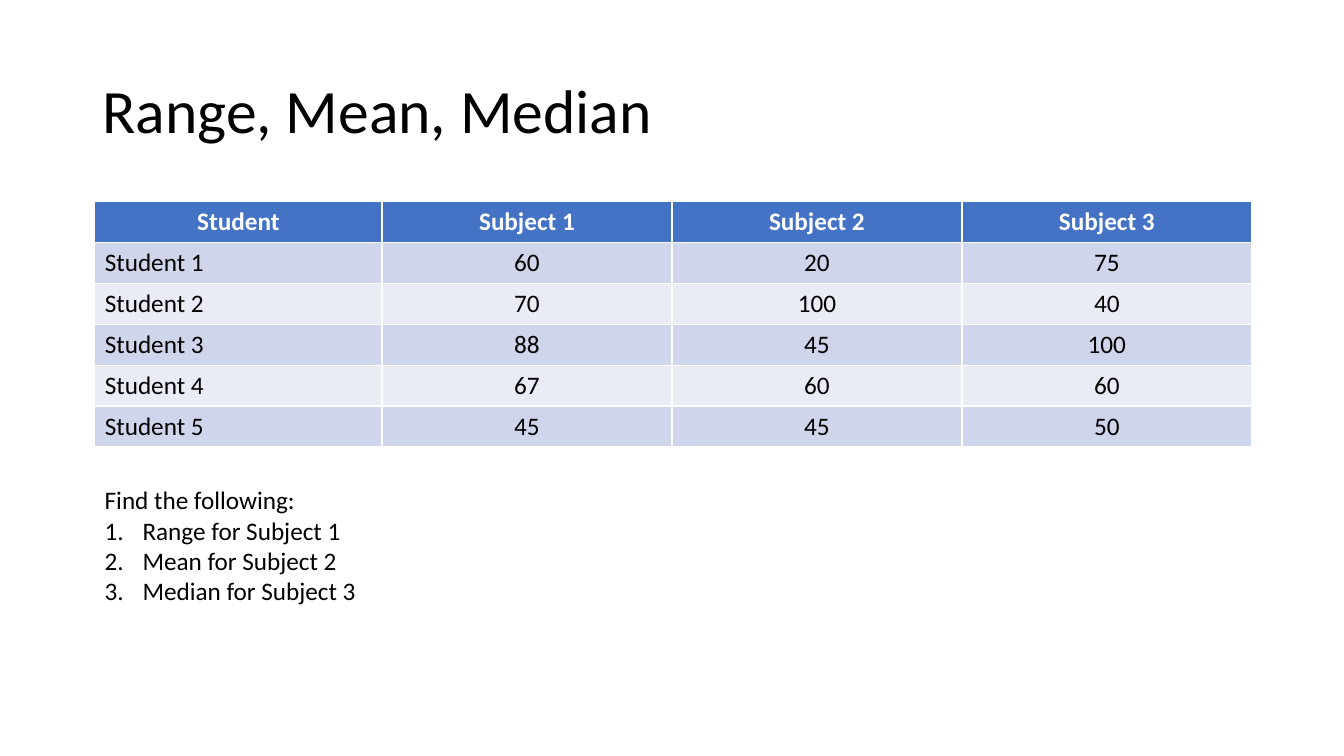
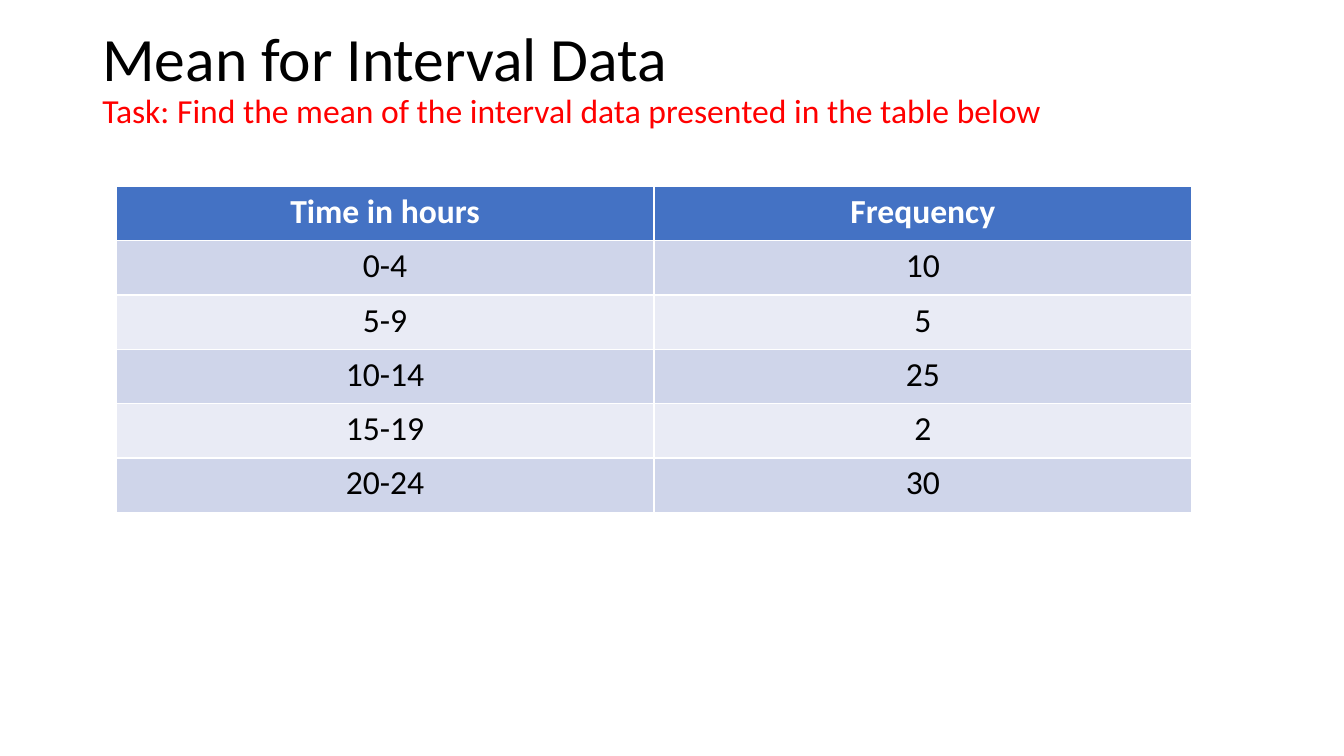
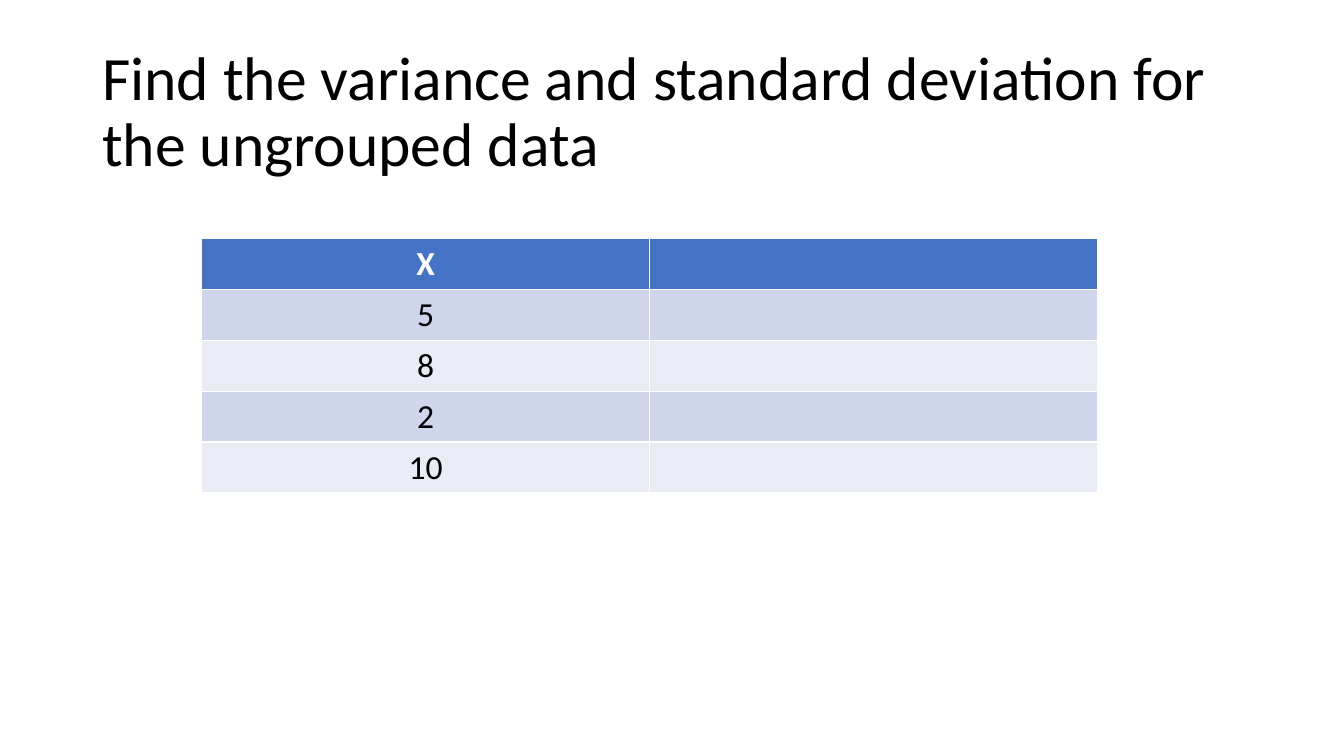
from pptx import Presentation
from pptx.dml.color import RGBColor
from pptx.enum.text import MSO_ANCHOR as Anchor, PP_ALIGN as Align
from pptx.util import Pt
from lxml.etree import SubElement
from pptx.oxml.ns import qn

FONT = "Calibri"
BLACK = RGBColor(0x00, 0x00, 0x00)
WHITE = RGBColor(0xFF, 0xFF, 0xFF)
RED = RGBColor(0xFF, 0x00, 0x00)
HEADER_BLUE = RGBColor(0x44, 0x72, 0xC4)
BANDS = [RGBColor(0xCF, 0xD5, 0xEA), RGBColor(0xE9, 0xEB, 0xF5)]

# Slide content: title, optional task and exercises, and one table
SLIDES = [
    {
        "title": "Range, Mean, Median",
        "table_at": (67.7, 144),
        "columns": [205.2, 207.1, 207.1, 207.1],
        "row_height": 29.2,
        "size": 18,
        "first_column": Align.LEFT,
        "rows": [
            ["Student", "Subject 1", "Subject 2", "Subject 3"],
            ["Student 1", "60", "20", "75"],
            ["Student 2", "70", "100", "40"],
            ["Student 3", "88", "45", "100"],
            ["Student 4", "67", "60", "60"],
            ["Student 5", "45", "45", "50"],
        ],
        "exercises": ["Range for Subject 1", "Mean for Subject 2", "Median for Subject 3"],
    },
    {
        "title": "Mean for Interval Data",
        "task": "Task: Find the mean of the interval data presented in the table below",
        "table_at": (83, 133.2),
        "columns": [384.1, 384.1],
        "row_height": 38.8,
        "size": 24,
        "rows": [
            ["Time in hours", "Frequency"],
            ["0-4", "10"],
            ["5-9", "5"],
            ["10-14", "25"],
            ["15-19", "2"],
            ["20-24", "30"],
        ],
    },
    {
        "title": "Find the variance and standard deviation for the ungrouped data",
        "table_at": (144, 170.2),
        "columns": [320, 320],
        "row_height": 36.4,
        "size": 24,
        "rows": [["X", ""], ["5", ""], ["8", ""], ["2", ""], ["10", ""]],
    },
]


def set_text(paragraph, text, size, color=BLACK, bold=False):
    paragraph.text = text
    font = paragraph.font
    font.name, font.size, font.bold = FONT, Pt(size), bold
    font.color.rgb = color


def add_text_frame(slide, left, top, width, height):
    frame = slide.shapes.add_textbox(Pt(left), Pt(top), Pt(width), Pt(height)).text_frame
    frame.word_wrap = True
    return frame


presentation = Presentation()
presentation.slide_width, presentation.slide_height = Pt(960), Pt(540)

for content in SLIDES:
    slide = presentation.slides.add_slide(presentation.slide_layouts[6])

    # Title, with the task beneath it
    title = add_text_frame(slide, 66, 28.8, 828, 104.4)
    title.vertical_anchor = Anchor.MIDDLE
    set_text(title.paragraphs[0], content["title"], 44)
    if "task" in content:
        title.margin_bottom = Pt(52)
        set_text(title.add_paragraph(), content["task"], 24, RED)
    for paragraph in title.paragraphs:
        paragraph.line_spacing = 0.9

    # Table: blue header, then alternating bands
    rows, columns = content["rows"], content["columns"]
    left, top = content["table_at"]
    row_height = content["row_height"]
    table = slide.shapes.add_table(
        len(rows), len(columns), Pt(left), Pt(top),
        Pt(sum(columns)), Pt(row_height * len(rows))).table
    for column, width in zip(table.columns, columns):
        column.width = Pt(width)
    for row_index, values in enumerate(rows):
        header = row_index == 0
        table.rows[row_index].height = Pt(row_height)
        for column_index, value in enumerate(values):
            cell = table.cell(row_index, column_index)
            cell.fill.solid()
            cell.fill.fore_color.rgb = HEADER_BLUE if header else BANDS[(row_index - 1) % 2]
            paragraph = cell.text_frame.paragraphs[0]
            set_text(paragraph, value, content["size"], WHITE if header else BLACK, header)
            paragraph.alignment = Align.CENTER
            if column_index == 0 and not header:
                paragraph.alignment = content.get("first_column", Align.CENTER)

    # Numbered exercises
    if "exercises" in content:
        exercises = add_text_frame(slide, 67.7, 342.7, 826.5, 94.3)
        set_text(exercises.paragraphs[0], "Find the following:", 18)
        for exercise in content["exercises"]:
            paragraph = exercises.add_paragraph()
            set_text(paragraph, exercise, 18)
            properties = paragraph._p.get_or_add_pPr()
            properties.set("marL", str(Pt(27)))
            properties.set("indent", str(Pt(-27)))
            numbering = SubElement(properties, qn("a:buAutoNum"), type="arabicPeriod")
            properties.insert(0, numbering)

presentation.save("out.pptx")
